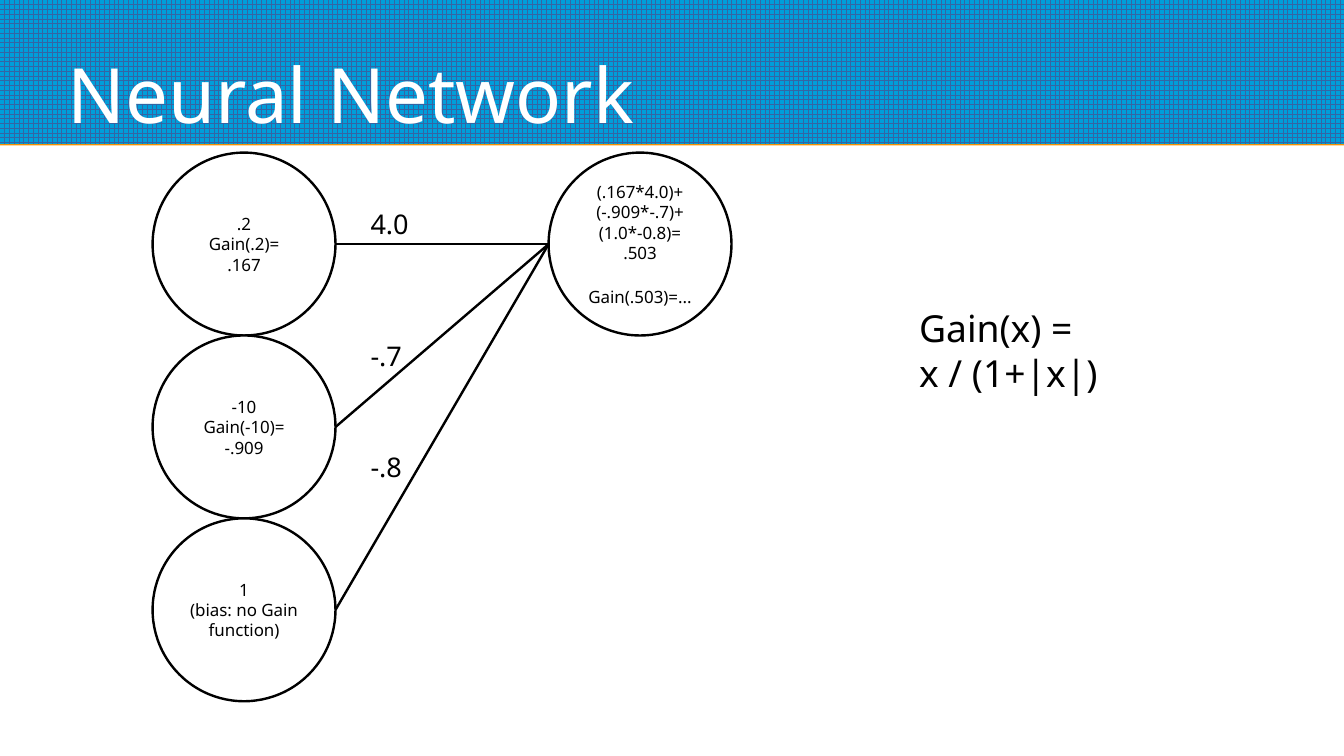
from lxml import etree
from pptx import Presentation
from pptx.dml.color import RGBColor
from pptx.enum.dml import MSO_PATTERN
from pptx.enum.shapes import MSO_CONNECTOR, MSO_SHAPE
from pptx.enum.text import MSO_ANCHOR, MSO_AUTO_SIZE, PP_ALIGN
from pptx.oxml import parse_xml
from pptx.oxml.ns import qn
from pptx.util import Cm, Pt

BLACK = RGBColor(0x00, 0x00, 0x00)
WHITE = RGBColor(0xFF, 0xFF, 0xFF)
BANNER_BLUE = RGBColor(0x00, 0x9E, 0xDA)
GRID_BLUE = RGBColor(0x34, 0x65, 0xA4)
FONT = "Noto Sans"
STROKE = Pt(1.42)
LEFT, CENTER = PP_ALIGN.LEFT, PP_ALIGN.CENTER
MIDDLE, BOTTOM = MSO_ANCHOR.MIDDLE, MSO_ANCHOR.BOTTOM
NO_FIT = MSO_AUTO_SIZE.NONE
GRID = MSO_PATTERN.LARGE_GRID
RECTANGLE, OVAL = MSO_SHAPE.RECTANGLE, MSO_SHAPE.OVAL
STRAIGHT = MSO_CONNECTOR.STRAIGHT

BANNER_SHADOW = (
    '<a:effectLst xmlns:a="http://schemas.openxmlformats.org/drawingml/2006/main">'
    '<a:outerShdw blurRad="0" dist="11430" dir="5400000" algn="ctr" rotWithShape="0">'
    '<a:srgbClr val="F49100"/></a:outerShdw></a:effectLst>'
)

INPUTS = [
    ([".2", "Gain(.2)=", ".167"], "4.0", 4.17),
    (["-10", "Gain(-10)=", "-.909"], "-.7", 6.93),
    (["1", "(bias: no Gain function)"], "-.8", 9.25),
]
OUTPUT = ["(.167*4.0)+(-.909*-.7)+", "(1.0*-0.8)=", ".503", "Gain(.503)=..."]
NODE = 3.81


def write(sp, lines, size, color=BLACK, align=LEFT, anchor=MIDDLE, inset=0.1):
    """Fill a shape with one formatted paragraph per line."""
    tf = sp.text_frame
    tf.word_wrap = True
    tf.auto_size = NO_FIT
    tf.vertical_anchor = anchor
    tf.margin_left = tf.margin_right = tf.margin_top = tf.margin_bottom = Cm(inset)
    tf.text = "\n".join(lines)
    for p in tf.paragraphs:
        p.alignment = align
        p.font.name = FONT
        p.font.size = Pt(size)
        p.font.color.rgb = color


def add_text(s, lines, size, left, top, width, height):
    """Add a left-aligned text box."""
    box = s.shapes.add_textbox(Cm(left), Cm(top), Cm(width), Cm(height))
    write(box, lines, size)


def add_header(s, text, width, height):
    """Place the patterned banner behind the title."""
    banner = s.shapes.add_shape(RECTANGLE, 0, 0, Cm(width), Cm(height))
    banner.fill.patterned()
    banner.fill.pattern = GRID
    banner.fill.fore_color.rgb = GRID_BLUE
    banner.fill.back_color.rgb = BANNER_BLUE
    banner.line.fill.background()
    banner._element.spPr.append(parse_xml(BANNER_SHADOW))
    title = s.shapes.title
    title._element.addprevious(banner._element)
    title.left, title.top = Cm(1.4), Cm(0.25)
    title.width, title.height = Cm(width - 2.8), Cm(height - 0.35)
    write(title, [text], 45, WHITE, anchor=BOTTOM, inset=0)


def add_node(s, lines, left, top):
    """Add a round neuron holding its calculation."""
    node = s.shapes.add_shape(OVAL, Cm(left), Cm(top), Cm(NODE), Cm(NODE))
    node.shadow.inherit = False
    node.fill.solid()
    node.fill.fore_color.rgb = WHITE
    node.line.color.rgb = BLACK
    node.line.width = STROKE
    write(node, lines, 10, align=CENTER)
    return node


def add_edge(s, source, target):
    """Draw a line from the right of one neuron to the left of another."""
    edge = s.shapes.add_connector(
        STRAIGHT,
        source.left + source.width, source.top + source.height // 2,
        target.left, target.top + target.height // 2,
    )
    edge.line.color.rgb = BLACK
    edge.line.width = STROKE
    etree.SubElement(edge._element.spPr, qn("a:effectLst"))


def add_network(s, left, top):
    """Stack the input neurons and join each to the output neuron."""
    output = add_node(s, OUTPUT, left + 8.25, top)
    output.text_frame.paragraphs[-1].space_before = Pt(13.6)
    for i, (lines, weight, weight_top) in enumerate(INPUTS):
        node = add_node(s, lines, left, top + i * NODE)
        add_edge(s, node, output)
        add_text(s, [weight], 16, left + 4.44, weight_top, 1.27, 0.96)


def main():
    """Build and save the slide."""
    prs = Presentation()
    prs.slide_width, prs.slide_height = Cm(28), Cm(15.75)
    s = prs.slides.add_slide(prs.slide_layouts[5])
    add_header(s, "Neural Network", 28, 3)
    add_network(s, 3.18, 3.18)
    add_text(s, ["Gain(x) =", "x / (1+|x|)"], 22, 19.05, 6.15, 6.35, 2.3)
    prs.save("out.pptx")


if __name__ == "__main__":
    main()
